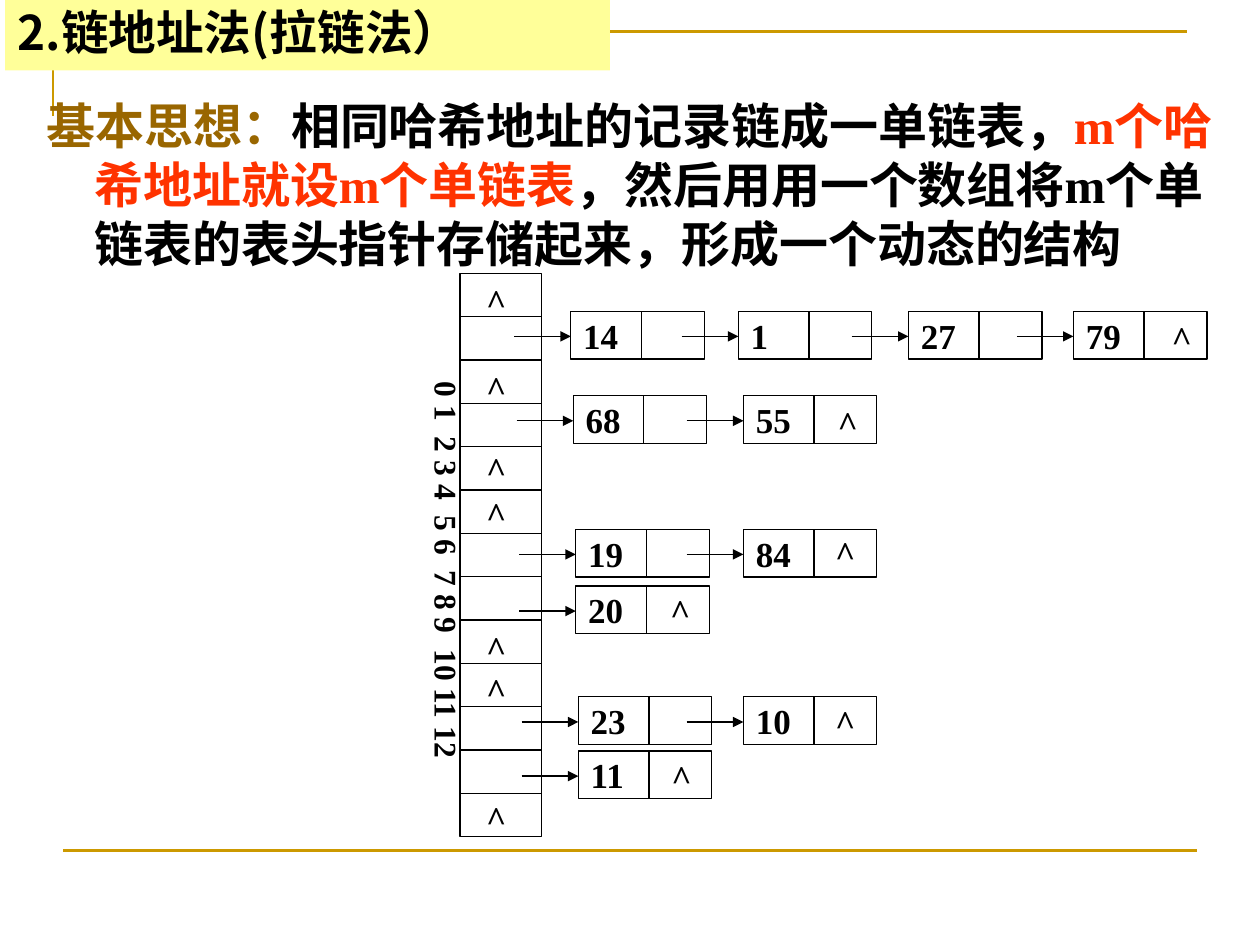
from lxml import etree
from pptx import Presentation
from pptx import util as u
from pptx.dml.color import RGBColor
from pptx.enum import shapes, text
from pptx.oxml.ns import qn

Inches, Pt = u.Inches, u.Pt
SERIF, SANS = "Times New Roman", "Noto Sans CJK SC"
BLACK, GOLD = "000000", "CC9900"


def color(hex_code):
    return RGBColor.from_string(hex_code)


class SlideBuilder:
    def __init__(self, slide, font=SERIF, east_asian=SANS, ink=BLACK, line_width=0.75):
        self.slide = slide
        self.font = font
        self.east_asian = east_asian
        self.ink = ink
        self.line_width = line_width

    def line(self, start, end, ink=None, width=None, arrow=False):
        connector = self.slide.shapes.add_connector(
            shapes.MSO_CONNECTOR.STRAIGHT, *map(Inches, start + end))
        connector.line.color.rgb = color(ink or self.ink)
        connector.line.width = Pt(width or self.line_width)
        if arrow:
            etree.SubElement(connector.line._get_or_add_ln(), qn("a:tailEnd"), type="triangle")
        etree.SubElement(connector._element.spPr, qn("a:effectLst"))

    def corner(self, points, ink, width):
        start, *rest = [tuple(map(Inches, point)) for point in points]
        builder = self.slide.shapes.build_freeform(*start)
        builder.add_line_segments(rest, close=False)
        shape = builder.convert_to_shape()
        shape.shadow.inherit = False
        shape.fill.background()
        shape.line.color.rgb = color(ink)
        shape.line.width = Pt(width)

    def box(self, left, top, width, height, fill=None):
        shape = self.slide.shapes.add_shape(
            shapes.MSO_SHAPE.RECTANGLE, *map(Inches, (left, top, width, height)))
        shape.shadow.inherit = False
        if fill:
            shape.fill.solid()
            shape.fill.fore_color.rgb = color(fill)
            shape.line.fill.background()
        else:
            shape.fill.background()
            shape.line.color.rgb = color(self.ink)
            shape.line.width = Pt(self.line_width)
        return shape

    def text_box(self, left, top, width, height):
        return self.slide.shapes.add_textbox(*map(Inches, (left, top, width, height)))

    def label(self, shape, runs, size, wrap=False, font=None, anchor=text.MSO_ANCHOR.TOP):
        """Fill a shape with one bold paragraph of (wording, colour) runs."""
        frame = shape.text_frame
        frame.word_wrap = wrap
        frame.vertical_anchor = anchor
        paragraph = frame.paragraphs[0]
        paragraph.alignment = text.PP_ALIGN.LEFT
        paragraph.font.name = font or self.font
        paragraph.font.size = Pt(size)
        paragraph.font.bold = True
        for wording, ink in runs:
            run = paragraph.add_run()
            run.text = wording
            run.font.name = font or self.font
            run.font.size = Pt(size)
            run.font.bold = True
            run.font.color.rgb = color(ink)
            etree.SubElement(run.font._element, qn("a:ea"), typeface=self.east_asian)
        return paragraph

    def caret(self, left, top):
        self.label(self.text_box(left, top, 0.36, 0.44), [("^", self.ink)], 20)

    def node(self, left, top, value):
        """A list node with its divider and the arrow that leads to it."""
        shape = self.box(left, top, 1.06, 0.38)
        self.label(shape, [(value, self.ink)], 20, anchor=text.MSO_ANCHOR.MIDDLE)
        self.line((left + 0.56, top), (left + 0.56, top + 0.38))
        self.line((left - 0.45, top + 0.2), (left, top + 0.2), arrow=True)


def main():
    presentation = Presentation()
    presentation.slide_width, presentation.slide_height = Inches(10), Inches(7.5)
    builder = SlideBuilder(presentation.slides.add_slide(presentation.slide_layouts[6]))

    # Frame rules
    builder.corner([(0.42, 0.92), (0.42, 0.25), (9.42, 0.25)], GOLD, 1.5)
    builder.line((0.5, 6.75), (9.5, 6.75), GOLD, 1.5)

    # Title
    title = builder.box(0.04, 0, 4.8, 0.56, "FFFF99")
    paragraph = builder.label(title, [("2.链地址法(拉链法）", BLACK)], 27.2, wrap=True,
                              font=SANS, anchor=text.MSO_ANCHOR.MIDDLE)
    paragraph.line_spacing = 0.9

    # Basic idea
    idea = builder.text_box(0.27, 0.67, 9.55, 1.5)
    paragraph = builder.label(idea, [
        ("基本思想：", "996600"),
        ("相同哈希地址的记录链成一单链表，", BLACK),
        ("m个哈希地址就设m个单链表", "FF3300"),
        ("，然后用用一个数组将m个单链表的表头指针存储起来，形成一个动态的结构", BLACK),
    ], 28, wrap=True)
    paragraph.line_spacing = Pt(33.6)
    idea.text_frame.margin_top = Inches(0.09)
    properties = paragraph._p.get_or_add_pPr()
    properties.set("marL", str(Inches(0.38)))
    properties.set("indent", str(-Inches(0.38)))

    # Bucket array with its indices
    left, top, width, height, buckets = 3.65, 2.17, 0.65, 4.47, 13
    builder.box(left, top, width, height)
    for index in range(1, buckets):
        y = top + index * height / buckets
        builder.line((left, y), (left + width, y))
    indices = builder.text_box(3.25, 2.93, 0.5, 3.17)
    builder.label(indices, [("0 1  2 3 4  5 6  7 8 9  10 11 12", BLACK)], 18)
    frame = indices.text_frame
    frame.margin_left = frame.margin_right = Inches(0.05)
    frame.margin_top = frame.margin_bottom = Inches(0.1)
    frame._txBody.bodyPr.set("vert", "eaVert")
    for caret_top in (2.17, 2.86, 3.5, 3.86, 4.92, 5.26, 6.27):
        builder.caret(3.76, caret_top)

    # Chains: top, nodes as (left, value), end mark as (left, top)
    chains = [
        (2.47, [(4.53, "14"), (5.86, "1"), (7.21, "27"), (8.52, "79")], (9.2, 2.46)),
        (3.14, [(4.55, "68"), (5.9, "55")], (6.55, 3.14)),
        (4.2, [(4.57, "19"), (5.9, "84")], (6.53, 4.17)),
        (4.65, [(4.57, "20")], (5.22, 4.63)),
        (5.53, [(4.59, "23"), (5.9, "10")], (6.53, 5.51)),
        (5.96, [(4.59, "11")], (5.23, 5.95)),
    ]
    for chain_top, nodes, end_mark in chains:
        for node_left, value in nodes:
            builder.node(node_left, chain_top, value)
        builder.caret(*end_mark)

    presentation.save("out.pptx")


if __name__ == "__main__":
    main()
